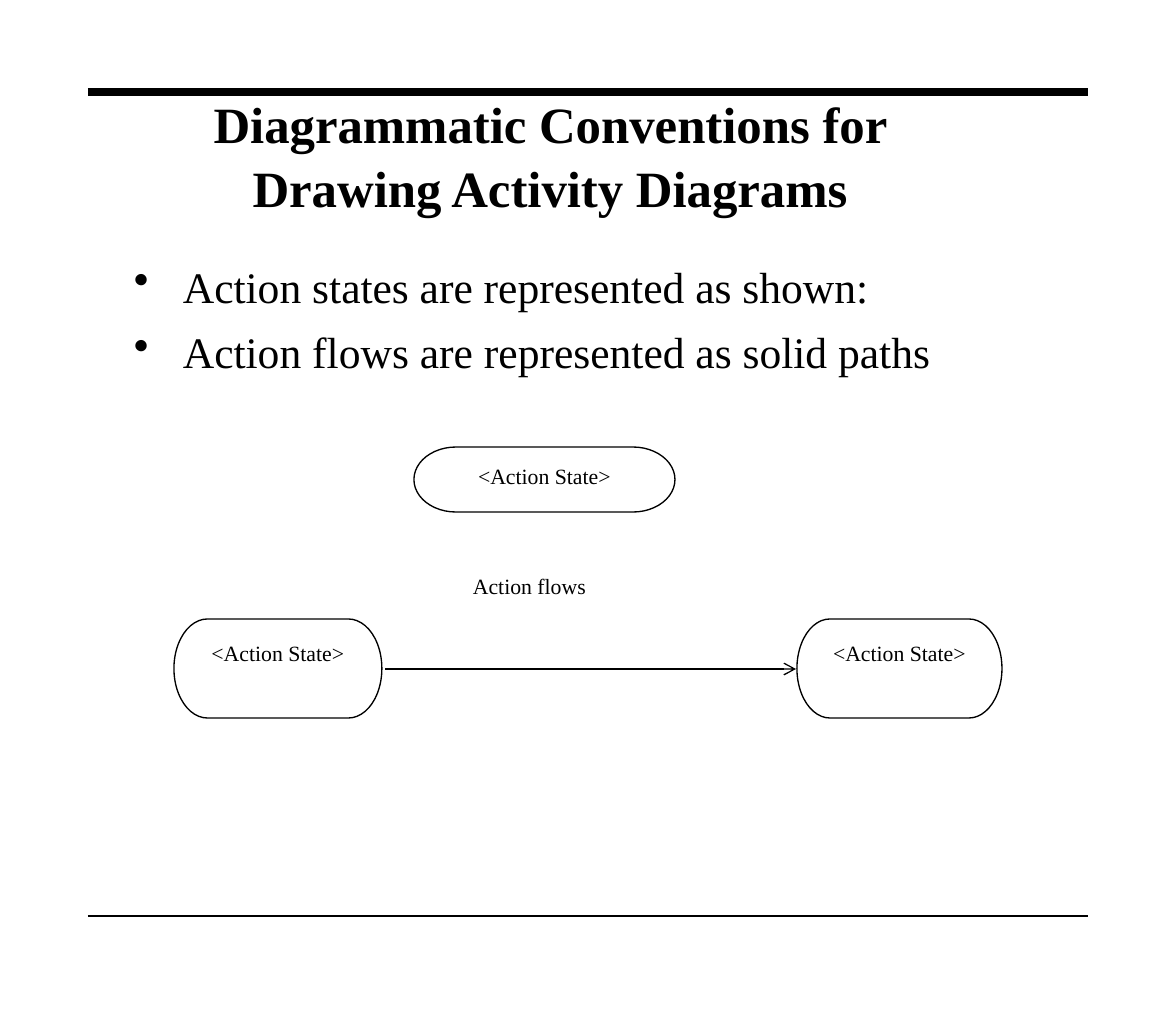
from lxml.etree import SubElement
from pptx import Presentation
from pptx.dml.color import RGBColor
from pptx.enum.shapes import MSO_CONNECTOR, MSO_SHAPE
from pptx.enum.text import MSO_ANCHOR, PP_ALIGN
from pptx.oxml.ns import qn
from pptx.util import Pt

EMU_PER_PX = 914400 / 130.7
FONT = "Times New Roman"
BLACK, WHITE = "000000", "FFFFFF"


def px(length):
    return round(length * EMU_PER_PX)


def color(hex_value):
    return RGBColor.from_string(hex_value)


def add_text(paragraph, text, size, bold=False):
    run = paragraph.add_run()
    run.text = text
    run.font.name = FONT
    run.font.size = Pt(size)
    run.font.bold = bold
    run.font.color.rgb = color(BLACK)


def add_line(slide, start_x, end_x, y, weight, arrow=False):
    line = slide.shapes.add_connector(
        MSO_CONNECTOR.STRAIGHT, px(start_x), px(y), px(end_x), px(y))
    line.line.color.rgb = color(BLACK)
    line.line.width = Pt(weight)
    if arrow:
        SubElement(line.line._get_or_add_ln(), qn("a:tailEnd"), type="arrow")
    SubElement(line._element.spPr, qn("a:effectLst"))


def add_node(slide, kind, box, text, outline, align):
    node = slide.shapes.add_shape(kind, *map(px, box))
    node.shadow.inherit = False
    node.fill.solid()
    node.fill.fore_color.rgb = color(WHITE)
    node.line.color.rgb = color(outline)
    node.line.width = Pt(0.75)
    node.text_frame.vertical_anchor = MSO_ANCHOR.TOP
    paragraph = node.text_frame.paragraphs[0]
    paragraph.alignment = align
    add_text(paragraph, text, 12)


def add_action_state(slide, *box):
    add_node(slide, MSO_SHAPE.FLOWCHART_TERMINATOR, box, "<Action State>",
             BLACK, PP_ALIGN.CENTER)


def set_title(slide, text):
    title = slide.shapes.title
    title.left, title.top, title.width, title.height = map(px, (131, 90, 838, 128))
    title.text_frame.word_wrap = True
    title.text_frame.vertical_anchor = MSO_ANCHOR.MIDDLE
    paragraph = title.text_frame.paragraphs[0]
    paragraph.alignment = PP_ALIGN.CENTER
    paragraph.line_spacing = 1.04
    add_text(paragraph, text, 28, bold=True)


def add_bullets(slide, items):
    frame = slide.shapes.add_textbox(*map(px, (108, 251, 1039, 729))).text_frame
    frame.word_wrap = True
    for index, item in enumerate(items):
        paragraph = frame.paragraphs[0] if index == 0 else frame.add_paragraph()
        properties = paragraph._p.get_or_add_pPr()
        properties.set("marL", str(px(62)))
        properties.set("indent", str(px(-49)))
        SubElement(properties, qn("a:buChar"), char="•")
        paragraph.line_spacing = 1.04
        if index:
            paragraph.space_before = Pt(6)
        add_text(paragraph, item, 24)


def main():
    presentation = Presentation()
    presentation.slide_width, presentation.slide_height = px(1176), px(1031)
    slide = presentation.slides.add_slide(presentation.slide_layouts[5])

    add_line(slide, 88, 1088, 92, 4.5)
    add_line(slide, 88, 1088, 916, 1)
    set_title(slide, "Diagrammatic Conventions for Drawing Activity Diagrams")
    add_bullets(slide, ["Action states are represented as shown:",
                        "Action flows are represented as solid paths"])

    add_action_state(slide, 414, 447, 261, 65)
    add_line(slide, 385, 796, 669, 0.75, arrow=True)
    add_action_state(slide, 174, 619, 208, 99)
    add_action_state(slide, 797, 619, 205, 99)
    add_node(slide, MSO_SHAPE.RECTANGLE, (460, 566, 193, 68), "Action flows",
             WHITE, PP_ALIGN.LEFT)

    presentation.save("out.pptx")


if __name__ == "__main__":
    main()
